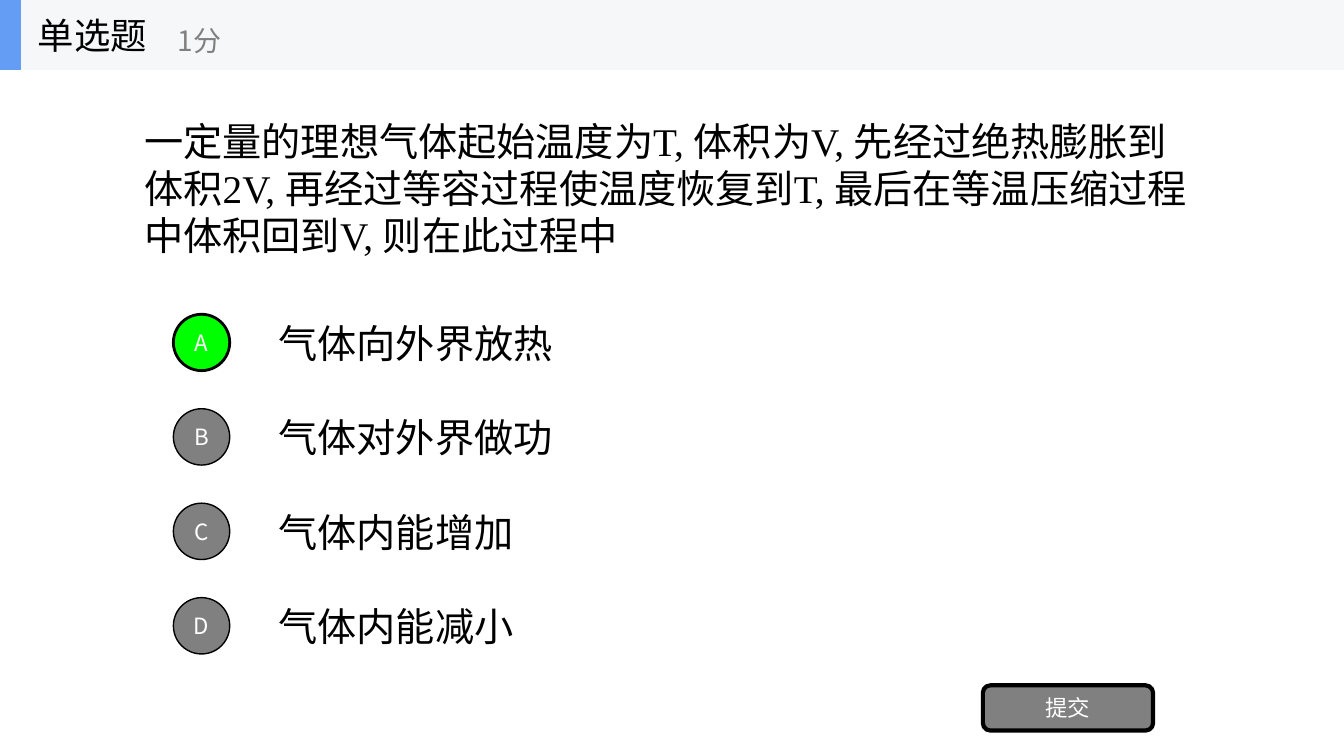
"""Build a single-choice physics question slide."""
from dataclasses import dataclass

from lxml.etree import SubElement
from pptx import Presentation
from pptx.dml.color import RGBColor
from pptx.enum.shapes import MSO_SHAPE
from pptx.enum.text import MSO_ANCHOR, PP_ALIGN
from pptx.oxml.ns import qn
from pptx.util import Cm, Pt

HEADING = "单选题"
SCORE = "1分"
QUESTION = (
    "一定量的理想气体起始温度为T, 体积为V, 先经过绝热膨胀到体积2V, "
    "再经过等容过程使温度恢复到T, 最后在等温压缩过程中体积回到V, 则在此过程中"
)
OPTIONS = [
    ("A", "气体向外界放热"),
    ("B", "气体对外界做功"),
    ("C", "气体内能增加"),
    ("D", "气体内能减小"),
]
CORRECT = "A"
SUBMIT = "提交"


@dataclass(frozen=True)
class Theme:
    black: str = "000000"
    white: str = "FFFFFF"
    gray: str = "808080"
    green: str = "00FF00"
    band: str = "F6F7F8"
    accent: str = "639EF4"
    serif: str = "Times New Roman"
    sans: str = "Noto Sans CJK SC"
    body_size: int = 28
    heading_size: int = 26
    score_size: int = 20
    label_size: int = 16


THEME = Theme()
SLIDE_WIDTH, SLIDE_HEIGHT = 33.87, 19.05
HEADER_HEIGHT = 1.76
OPTION_TOP, OPTION_PITCH, OPTION_HEIGHT = 7.74, 2.38, 1.78
BADGE_LEFT, BADGE_SIZE = 4.37, 1.42


def write(shape, text, size, color, font_name, align=PP_ALIGN.LEFT):
    frame = shape.text_frame
    frame.text = text
    frame.word_wrap = True
    frame.vertical_anchor = MSO_ANCHOR.MIDDLE
    paragraph = frame.paragraphs[0]
    paragraph.alignment = align
    font = paragraph.runs[0].font
    font.size = Pt(size)
    font.name = font_name
    font.color.rgb = RGBColor.from_string(color)
    SubElement(font._element, qn("a:ea"), typeface=THEME.sans)


def add_text(shapes, box, text, size, color=THEME.black, font_name=THEME.sans):
    write(shapes.add_textbox(*map(Cm, box)), text, size, color, font_name)


def add_block(shapes, kind, box, fill, line_width=0):
    shape = shapes.add_shape(kind, *map(Cm, box))
    shape.shadow.inherit = False
    shape.fill.solid()
    shape.fill.fore_color.rgb = RGBColor.from_string(fill)
    if line_width:
        shape.line.color.rgb = RGBColor.from_string(THEME.black)
        shape.line.width = Pt(line_width)
    else:
        shape.line.fill.background()
    return shape


def add_button(shapes, kind, box, fill, line_width, label):
    button = add_block(shapes, kind, box, fill, line_width)
    write(button, label, THEME.label_size, THEME.white, THEME.sans, PP_ALIGN.CENTER)
    frame = button.text_frame
    frame.margin_left = frame.margin_right = frame.margin_top = frame.margin_bottom = 0


def add_option(shapes, index, letter, answer):
    top = OPTION_TOP + index * OPTION_PITCH
    add_text(shapes, (6.77, top, 23.7, OPTION_HEIGHT), answer, THEME.body_size, font_name=THEME.serif)
    badge_top = top + (OPTION_HEIGHT - BADGE_SIZE) / 2
    fill, line_width = (THEME.green, 2) if letter == CORRECT else (THEME.gray, 1)
    badge = (BADGE_LEFT, badge_top, BADGE_SIZE, BADGE_SIZE)
    add_button(shapes, MSO_SHAPE.OVAL, badge, fill, line_width, letter)


def add_header(shapes):
    header = shapes.add_group_shape().shapes
    for width, fill in ((SLIDE_WIDTH, THEME.band), (0.53, THEME.accent)):
        add_block(header, MSO_SHAPE.RECTANGLE, (0, 0, width, HEADER_HEIGHT), fill)
    add_text(header, (0.7, 0, 5.29, HEADER_HEIGHT), HEADING, THEME.heading_size)
    add_text(header, (4.23, 0.31, 6.35, 1.42), SCORE, THEME.score_size, THEME.gray)


def main():
    presentation = Presentation()
    presentation.slide_width, presentation.slide_height = Cm(SLIDE_WIDTH), Cm(SLIDE_HEIGHT)
    slide = presentation.slides.add_slide(presentation.slide_layouts[6])
    shapes = slide.shapes
    question_box = (3.39, HEADER_HEIGHT, 27.09, 5.95)
    add_text(shapes, question_box, QUESTION, THEME.body_size, font_name=THEME.serif)
    for index, (letter, answer) in enumerate(OPTIONS):
        add_option(shapes, index, letter, answer)
    submit_box = (24.77, 17.27, 4.29, 1.14)
    add_button(shapes, MSO_SHAPE.ROUNDED_RECTANGLE, submit_box, THEME.gray, 3, SUBMIT)
    add_header(shapes)
    presentation.save("out.pptx")


if __name__ == "__main__":
    main()
